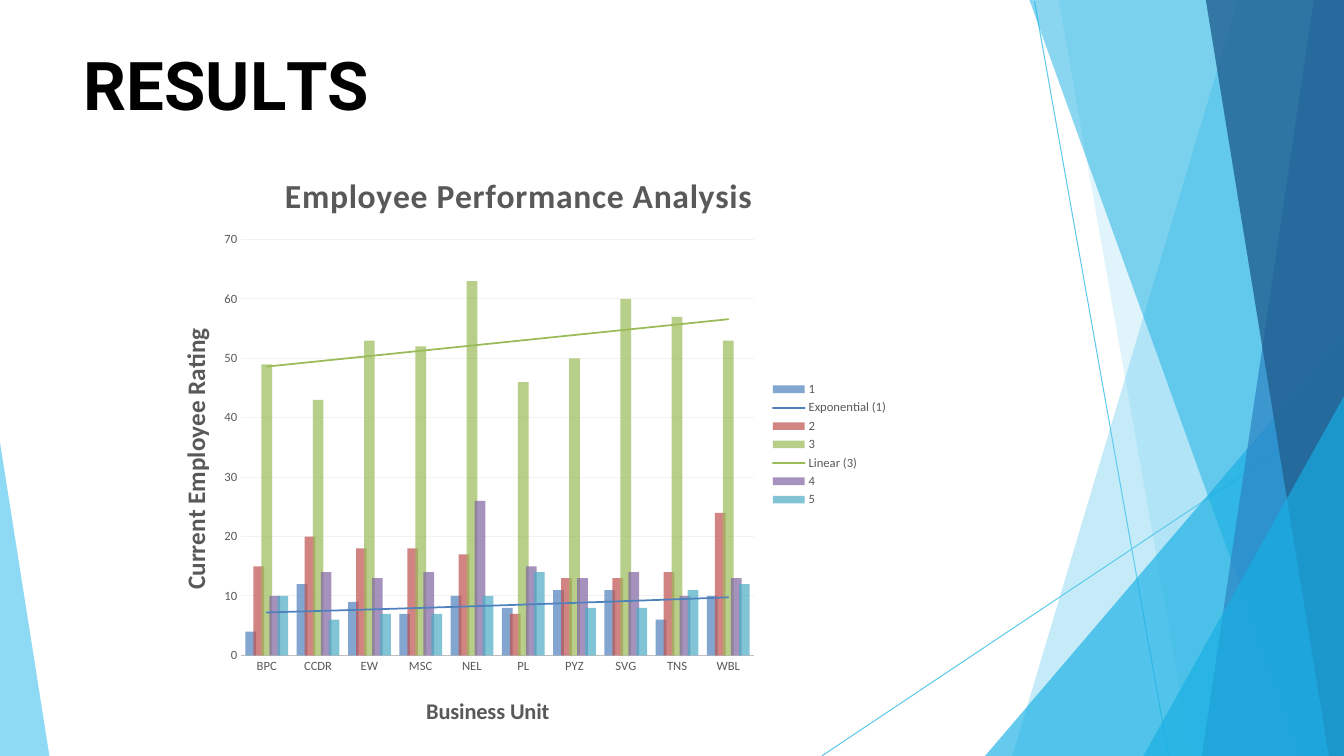
from lxml.etree import SubElement
from pptx import Presentation
from pptx.chart.data import CategoryChartData
from pptx.dml.color import RGBColor
from pptx.enum.chart import XL_CHART_TYPE, XL_LEGEND_POSITION, XL_TICK_MARK
from pptx.enum.shapes import MSO_CONNECTOR
from pptx.enum.text import MSO_ANCHOR, MSO_AUTO_SIZE, PP_ALIGN
from pptx.oxml import parse_xml
from pptx.oxml.ns import nsdecls, qn
from pptx.util import Inches, Pt

WIDE, HIGH = 13.33, 7.5
UNITS = ["BPC", "CCDR", "EW", "MSC", "NEL", "PL", "PYZ", "SVG", "TNS", "WBL"]
RATINGS = [
    ("1", "4F81BD", "exp", [4, 12, 9, 7, 10, 8, 11, 11, 6, 10]),
    ("2", "C0504D", None, [15, 20, 18, 18, 17, 7, 13, 13, 14, 24]),
    ("3", "9BBB59", "linear", [49, 43, 53, 52, 63, 46, 50, 60, 57, 53]),
    ("4", "8064A2", None, [10, 14, 13, 14, 26, 15, 13, 14, 10, 13]),
    ("5", "4BACC6", None, [10, 6, 7, 7, 10, 14, 8, 8, 11, 12]),
]
RAYS = [((10.26, 0.01), (11.59, HIGH)), ((WIDE, 4.04), (8.15, HIGH))]
BANDS = [
    (12.28, 10.04, "5FCAEE", 36),
    (10.5, 11.82, "5FCAEE", 20),
    (None, (3.33, 9.77), "17AFE3", 66),
    (10.21, 12.91, "17AFE3", 50),
    (13.03, 11.92, "2D83C3", 70),
    (11.96, 13.18, "226192", 80),
    (None, (3.93, 11.34), "17AFE3", 66),
]


def tint(text):
    return RGBColor.from_string(text)


class Deck:
    head = "Roboto"
    body = "Calibri"
    ink = "000000"
    gray = "595959"
    grid = "F2F2F2"
    rule = "BFBFBF"
    ray = "5FCAEE"

    def __init__(self):
        self.show = Presentation()
        self.show.slide_width = Inches(WIDE)
        self.show.slide_height = Inches(HIGH)
        self.slide = self.show.slides.add_slide(self.show.slide_layouts[5])
        self.slide.background.fill.solid()
        self.slide.background.fill.fore_color.rgb = tint("FFFFFF")

    def paint(self, fill, color, alpha):
        fill.solid()
        fill.fore_color.rgb = tint(color)
        node = fill._xPr.find(".//" + qn("a:srgbClr"))
        SubElement(node, qn("a:alpha")).set("val", str(alpha * 1000))

    def line(self, start, end):
        ends = [Inches(n) for n in start + end]
        link = self.slide.shapes.add_connector(MSO_CONNECTOR.STRAIGHT, *ends)
        link.line.color.rgb = tint(self.ray)
        link.line.width = Pt(0.75)
        SubElement(link._element.spPr, qn("a:effectLst"))

    def facet(self, points, color, alpha):
        spots = [(Inches(x), Inches(y)) for x, y in points]
        pen = self.slide.shapes.build_freeform(*spots[0])
        pen.add_line_segments(spots[1:], close=True)
        shape = pen.convert_to_shape()
        shape.shadow.inherit = False
        shape.line.fill.background()
        self.paint(shape.fill, color, alpha)

    def title(self, runs):
        box = self.slide.shapes.title
        box.left, box.top = Inches(0.83), Inches(0.42)
        box.width, box.height = Inches(11.68), Inches(0.81)
        frame = box.text_frame
        frame.margin_left = frame.margin_right = 0
        frame.margin_top = frame.margin_bottom = 0
        frame.auto_size = MSO_AUTO_SIZE.NONE
        frame.vertical_anchor = MSO_ANCHOR.MIDDLE
        para = frame.paragraphs[0]
        para.alignment = PP_ALIGN.LEFT
        for text, gap in runs:
            run = para.add_run()
            run.text = text
            self.type(run.font, 48, self.ink, True, self.head)
            run._r.get_or_add_rPr().set("spc", str(gap))
        self.slide.shapes._spTree.append(box._element)

    def type(self, font, size, color=None, bold=False, name=None):
        font.size = Pt(size)
        font.bold = bold
        font.name = name or self.body
        font.color.rgb = tint(color or self.gray)

    def place(self, node, x, y, size=None, inner=False):
        for old in node.findall(qn("c:layout")):
            node.remove(old)
        tags = [("xMode", "edge"), ("yMode", "edge"), ("x", x), ("y", y)]
        if inner:
            tags.insert(0, ("layoutTarget", "inner"))
        if size:
            tags += zip("wh", size)
        marks = "".join(f'<c:{tag} val="{val}"/>' for tag, val in tags)
        layout = parse_xml(
            f'<c:layout {nsdecls("c")}><c:manualLayout>{marks}'
            "</c:manualLayout></c:layout>")
        over = node.find(qn("c:overlay"))
        if over is None:
            node.insert(0, layout)
        else:
            over.addprevious(layout)

    def label(self, title, text, size, x, y, gap=0, turn=0):
        run = title.text_frame.paragraphs[0].add_run()
        run.text = text
        self.type(run.font, size, bold=True)
        run._r.get_or_add_rPr().set("spc", str(gap))
        frame = title._element.find(".//" + qn("a:bodyPr"))
        frame.set("rot", str(turn * 60000))
        frame.set("vert", "horz")
        self.place(title._element, x, y)

    def trend(self, series, kind, color):
        node = parse_xml(
            f'<c:trendline {nsdecls("c", "a")}><c:spPr>'
            f'<a:ln w="{Pt(1.25)}" cap="rnd"><a:solidFill>'
            f'<a:srgbClr val="{color}"/></a:solidFill></a:ln></c:spPr>'
            f'<c:trendlineType val="{kind}"/><c:dispRSqr val="0"/>'
            '<c:dispEq val="0"/></c:trendline>')
        series._element.find(qn("c:cat")).addprevious(node)

    def chart(self):
        data = CategoryChartData()
        data.categories = UNITS
        for name, _, _, vals in RATINGS:
            data.add_series(name, vals)
        spot = [Inches(n) for n in (1.42, 1.42, 7.48, 5.98)]
        chart = self.slide.shapes.add_chart(
            XL_CHART_TYPE.COLUMN_CLUSTERED, *spot, data).chart
        self.type(chart.font, 10)
        chart.has_title = True
        self.label(chart.chart_title, "Employee Performance Analysis",
                   24, 0.18, 0.04, gap=50)
        plot = chart.plots[0]
        plot.vary_by_categories = False
        plot.gap_width, plot.overlap = 80, 25
        for series, (_, color, kind, _) in zip(plot.series, RATINGS):
            self.paint(series.format.fill, color, 70)
            series.format.line.fill.background()
            if kind:
                self.trend(series, kind, color)
        cat, val = chart.category_axis, chart.value_axis
        for axis in (cat, val):
            axis.major_tick_mark = axis.minor_tick_mark = XL_TICK_MARK.NONE
            self.type(axis.tick_labels.font, 9)
        cat.format.line.color.rgb = tint(self.rule)
        cat.format.line.width = Pt(1.25)
        self.label(cat.axis_title, "Business Unit", 16, 0.37, 0.91)
        val.minimum_scale, val.maximum_scale, val.major_unit = 0, 70, 10
        val.format.line.fill.background()
        val.major_gridlines.format.line.color.rgb = tint(self.grid)
        val.major_gridlines.format.line.width = Pt(0.75)
        self.label(val.axis_title, "Current Employee Rating",
                   18, 0.04, 0.3, turn=-90)
        chart.has_legend = True
        legend = chart.legend
        legend.position = XL_LEGEND_POSITION.RIGHT
        legend.include_in_layout = False
        self.type(legend.font, 9)
        self.place(legend._element, 0.83, 0.39, (0.16, 0.22))
        area = chart._chartSpace.find(".//" + qn("c:plotArea"))
        self.place(area, 0.13, 0.16, (0.68, 0.69), inner=True)


def main():
    deck = Deck()
    for start, end in RAYS:
        deck.line(start, end)
    for top, foot, color, alpha in BANDS:
        if top is None:
            peak, foot = foot
            edge = [(WIDE, peak), (foot, HIGH)]
        else:
            edge = [(WIDE, 0), (top, 0), (foot, HIGH)]
        deck.facet(edge + [(WIDE, HIGH)], color, alpha)
    deck.facet([(0, 4.39), (0, HIGH), (0.49, HIGH)], deck.ray, 70)
    deck.title([("R", 0), ("E", -40), ("S", 10), ("U", -30),
                ("L", -400), ("TS", 0)])
    deck.chart()
    deck.show.save("out.pptx")


if __name__ == "__main__":
    main()
